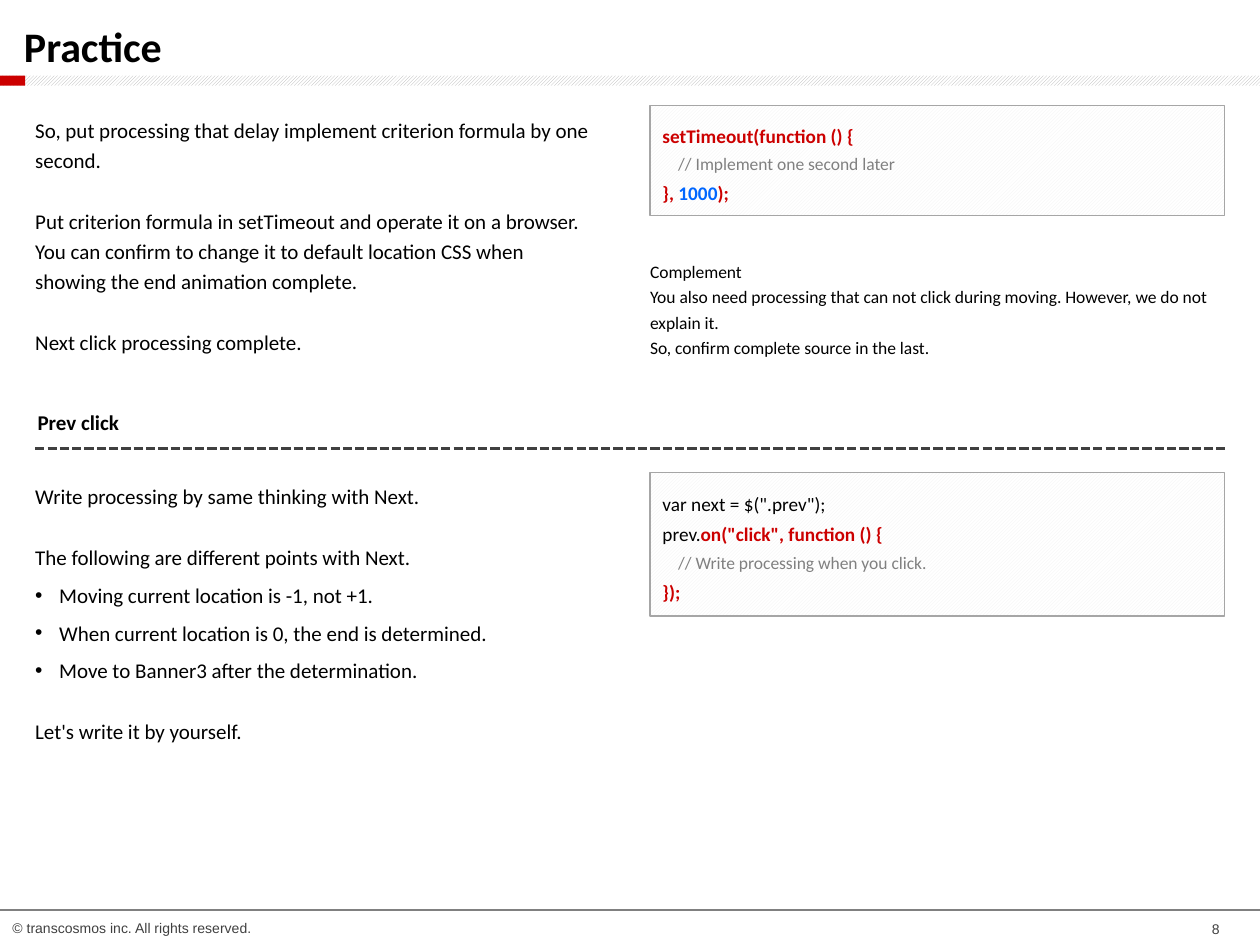
from dataclasses import dataclass

from lxml.etree import SubElement
from pptx import Presentation
from pptx.dml.color import RGBColor
from pptx.enum.dml import MSO_LINE, MSO_PATTERN
from pptx.enum.shapes import MSO_CONNECTOR, MSO_SHAPE
from pptx.enum.text import MSO_ANCHOR, MSO_AUTO_SIZE, PP_ALIGN
from pptx.oxml.ns import qn
from pptx.util import Inches, Pt


@dataclass(frozen=True)
class Theme:
    font: str = "Calibri"
    footer_font: str = "Arial"
    black: str = "000000"
    white: str = "FFFFFF"
    red: str = "CC0000"
    blue: str = "0066FF"
    dark: str = "404040"
    gray: str = "808080"
    border: str = "A6A6A6"
    band: str = "B2B2B2"
    hatch: str = "F2F2F2"
    title_size: float = 24
    body_size: float = 12
    code_size: float = 11
    note_size: float = 10
    footer_size: float = 8
    blank_line: float = 17.5


@dataclass(frozen=True)
class Line:
    text: str
    gap: float = 0
    bullet: bool = False


class SlideBuilder:
    def __init__(self, slide, theme):
        self.slide = slide
        self.theme = theme

    def color(self, value):
        return RGBColor.from_string(value)

    def add_run(self, paragraph, text, size, color=None, bold=False, font=None):
        run = paragraph.add_run()
        run.text = text
        run.font.name = font or self.theme.font
        run.font.size = Pt(size)
        run.font.bold = bold
        run.font.color.rgb = self.color(color or self.theme.black)

    def paragraphs(self, frame, items):
        for index, item in enumerate(items):
            yield (frame.add_paragraph() if index else frame.paragraphs[0]), item

    def set_frame(self, frame, insets, anchor=MSO_ANCHOR.TOP, wrap=True):
        frame.margin_left, frame.margin_top, frame.margin_right, frame.margin_bottom = map(Inches, insets)
        frame.vertical_anchor = anchor
        frame.word_wrap = wrap
        frame.auto_size = MSO_AUTO_SIZE.NONE

    def title(self, text, box):
        shape = self.slide.shapes.title
        shape.left, shape.top, shape.width, shape.height = map(Inches, box)
        self.set_frame(shape.text_frame, (0.07, 0.03, 0.07, 0.03), MSO_ANCHOR.BOTTOM, False)
        paragraph = shape.text_frame.paragraphs[0]
        paragraph.alignment = PP_ALIGN.LEFT
        paragraph.line_spacing = 0.9
        self.add_run(paragraph, text, self.theme.title_size, bold=True)

    def label(self, text, box, insets, size, anchor=MSO_ANCHOR.MIDDLE, align=PP_ALIGN.LEFT, wrap=False, **style):
        frame = self.slide.shapes.add_textbox(*map(Inches, box)).text_frame
        self.set_frame(frame, insets, anchor, wrap)
        frame.paragraphs[0].alignment = align
        self.add_run(frame.paragraphs[0], text, size, **style)

    def body(self, lines, box, size):
        frame = self.slide.shapes.add_textbox(*map(Inches, box)).text_frame
        self.set_frame(frame, (0, 0.05, 0.1, 0.05))
        for paragraph, line in self.paragraphs(frame, lines):
            if line.bullet:
                self.bullet(paragraph)
            paragraph.line_spacing = 1.5 if line.bullet else 1.2
            if line.gap:
                paragraph.space_before = Pt(line.gap)
            self.add_run(paragraph, line.text, size)

    def bullet(self, paragraph):
        properties = paragraph._p.get_or_add_pPr()
        properties.set("marL", str(Inches(0.19)))
        properties.set("indent", str(Inches(-0.19)))
        SubElement(properties, qn("a:buFont")).set("typeface", "Arial")
        SubElement(properties, qn("a:buChar")).set("char", "•")

    def rectangle(self, box, color, pattern=None, border=None):
        shape = self.slide.shapes.add_shape(MSO_SHAPE.RECTANGLE, *map(Inches, box))
        shape.shadow.inherit = False
        if pattern is None:
            shape.fill.solid()
        else:
            shape.fill.patterned()
            shape.fill.pattern = pattern
            shape.fill.back_color.rgb = self.color(self.theme.white)
        shape.fill.fore_color.rgb = self.color(color)
        if border is None:
            shape.line.fill.background()
        else:
            shape.line.color.rgb = self.color(border)
            shape.line.width = Pt(0.75)
        return shape

    def code(self, lines, box):
        theme = self.theme
        styles = {
            "plain": (theme.code_size, theme.black, False),
            "key": (theme.code_size, theme.red, True),
            "number": (theme.code_size, theme.blue, True),
            "comment": (theme.note_size, theme.gray, False),
        }
        shape = self.rectangle(box, theme.hatch, MSO_PATTERN.DARK_UPWARD_DIAGONAL, theme.border)
        self.set_frame(shape.text_frame, (0.1,) * 4, MSO_ANCHOR.MIDDLE)
        for paragraph, runs in self.paragraphs(shape.text_frame, lines):
            paragraph.alignment = PP_ALIGN.LEFT
            paragraph.line_spacing = 1.3
            for style, text in runs:
                self.add_run(paragraph, text, *styles[style])

    def rule(self, left, right, top, color, width, dash=None):
        ends = map(Inches, (left, top, right, top))
        connector = self.slide.shapes.add_connector(MSO_CONNECTOR.STRAIGHT, *ends)
        connector.line.color.rgb = self.color(color)
        connector.line.width = Pt(width)
        if dash is not None:
            connector.line.dash_style = dash
        SubElement(connector._element.spPr, qn("a:effectLst"))


def main():
    presentation = Presentation()
    presentation.slide_width = Inches(10)
    presentation.slide_height = Inches(7.5)
    theme = Theme()
    builder = SlideBuilder(presentation.slides.add_slide(presentation.slide_layouts[5]), theme)
    left, right, column = 0.28, 5.16, 4.56
    upper, lower = 0.84, 3.75
    gap = theme.blank_line

    builder.rectangle((0, 0.6, 10, 0.08), theme.band, MSO_PATTERN.LIGHT_UPWARD_DIAGONAL)
    builder.rectangle((0, 0.6, 0.2, 0.08), theme.red)
    footer = {"size": theme.footer_size, "color": theme.dark, "font": theme.footer_font}
    builder.label("8", (9.5, 7.25, 0.25, 0.24), (0.07, 0.03, 0.07, 0.03), align=PP_ALIGN.RIGHT, **footer)
    builder.label("© transcosmos inc. All rights reserved.", (0, 7.25, 2.15, 0.23), (0.1, 0.05, 0.1, 0.05), **footer)
    builder.rule(0, 10, 7.22, theme.gray, 1)

    builder.title("Practice", (0.12, 0.18, 1.26, 0.42))
    builder.body([
        Line("So, put processing that delay implement criterion formula by one second."),
        Line("Put criterion formula in setTimeout and operate it on a browser.", gap),
        Line("You can confirm to change it to default location CSS when showing the end animation complete."),
        Line("Next click processing complete.", gap),
    ], (left, upper, column, 1.97), theme.body_size)
    builder.code([
        [("key", "setTimeout(function () {")],
        [("comment", "    // Implement one second later")],
        [("key", "}, "), ("number", "1000"), ("key", ");")],
    ], (right, upper, column, 0.87))
    builder.body([
        Line("Complement"),
        Line("You also need processing that can not click during moving. However, we do not explain it."),
        Line("So, confirm complete source in the last."),
    ], (right, 1.99, column, 0.98), theme.note_size)

    builder.label("Prev click", (0.2, 3.2, 9.61, 0.36), (0.1, 0.05, 0.1, 0.05), theme.body_size,
                  anchor=MSO_ANCHOR.TOP, wrap=True, bold=True)
    builder.rule(left, right + column, 3.56, theme.dark, 1.75, MSO_LINE.SQUARE_DOT)
    builder.body([
        Line("Write processing by same thinking with Next."),
        Line("The following are different points with Next.", gap),
        Line("Moving current location is -1, not +1.", bullet=True),
        Line("When current location is 0, the end is determined.", bullet=True),
        Line("Move to Banner3 after the determination.", bullet=True),
        Line("Let's write it by yourself.", gap),
    ], (left, lower, column, 2.28), theme.body_size)
    builder.code([
        [("plain", 'var next = $(".prev");')],
        [("plain", "prev."), ("key", 'on("click", function () {')],
        [("comment", "    // Write processing when you click.")],
        [("key", "});")],
    ], (right, lower, column, 1.14))

    presentation.save("out.pptx")


if __name__ == "__main__":
    main()
